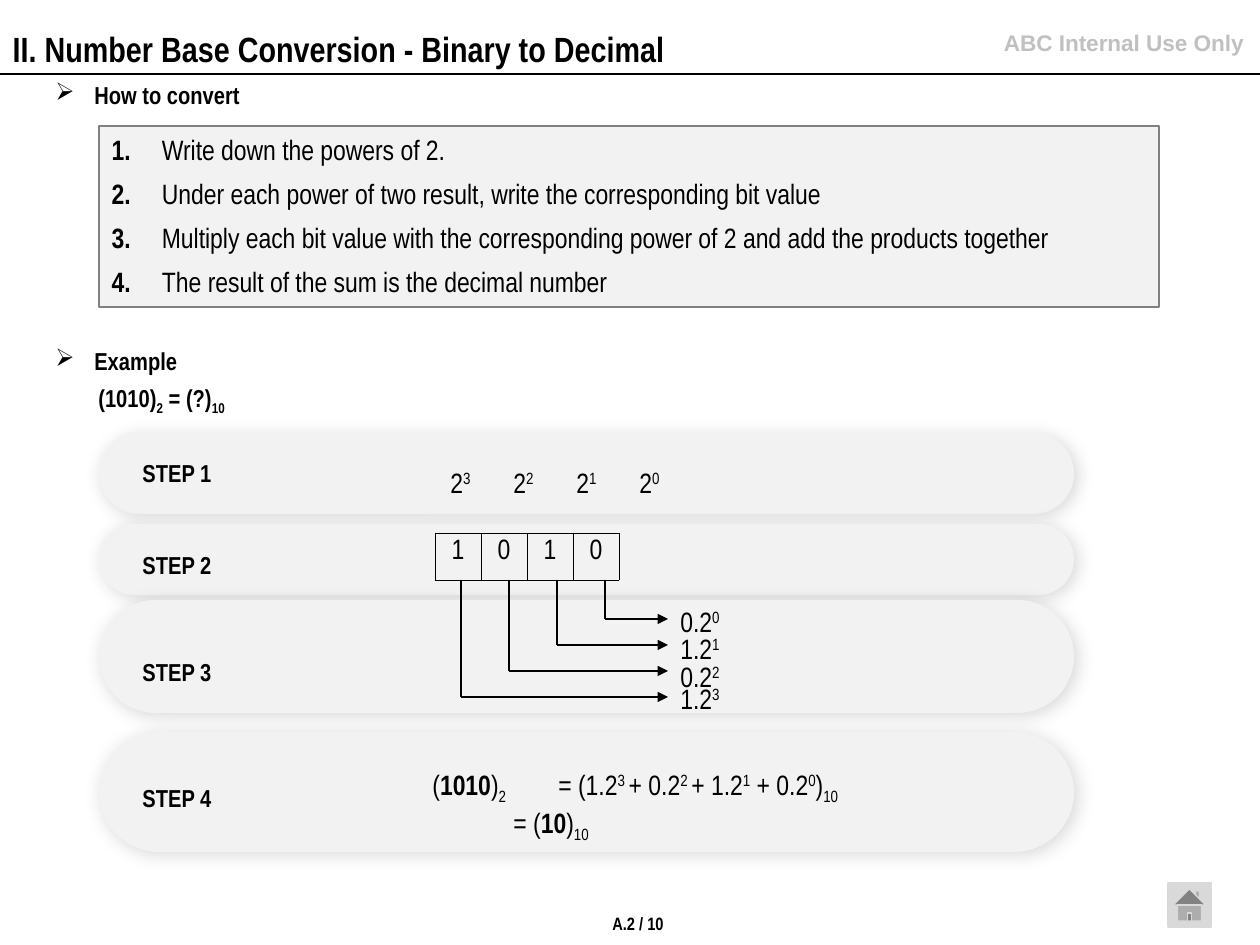
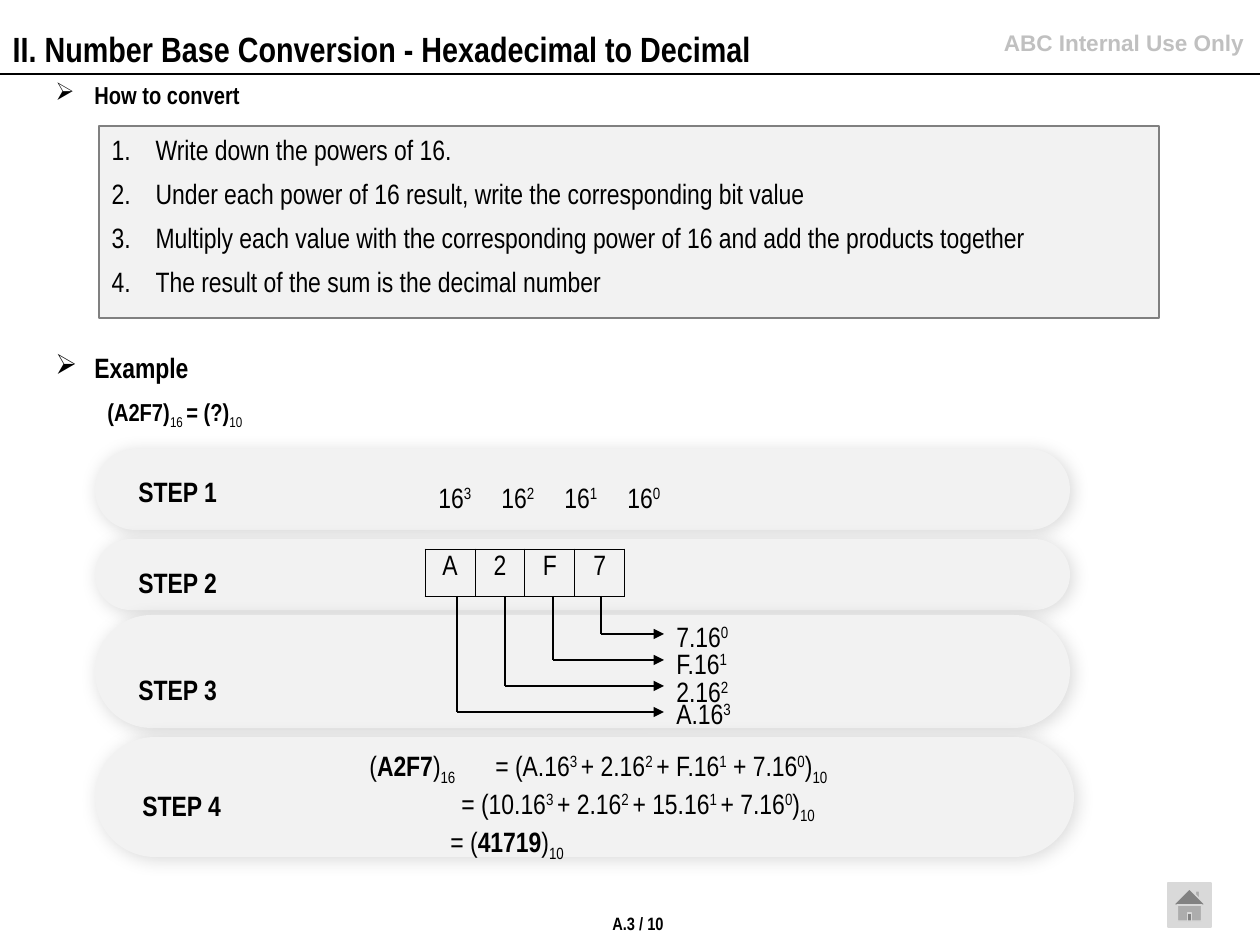
from lxml.etree import SubElement
from pptx import Presentation
from pptx.dml.color import RGBColor
from pptx.enum.shapes import MSO_CONNECTOR, MSO_SHAPE
from pptx.enum.text import MSO_ANCHOR, MSO_AUTO_SIZE, PP_ALIGN
from pptx.oxml.ns import qn
from pptx.util import Emu, Pt

PIXELS_PER_INCH = 126
BLACK = RGBColor(0x00, 0x00, 0x00)
WHITE = RGBColor(0xFF, 0xFF, 0xFF)
PANEL = RGBColor(0xF2, 0xF2, 0xF2)
PANEL_EDGE = RGBColor(0x80, 0x80, 0x80)
NOTICE_GREY = RGBColor(0xC0, 0xC0, 0xC0)
BUTTON_GREY = RGBColor(0xD9, 0xD9, 0xD9)
FONT = "Arial Narrow"

NOTICE = "ABC Internal Use Only"
TITLE_PREFIX = "II. Number Base Conversion - "

# Markup: "|" separates runs; the first letter of a run may name its style.
RUN_STYLES = {  # (baseline in percent, bold)
    "*": (0, True),
    "^": (30, None),
    "_": (-25, None),
    "~": (-25, False),
}

SLIDES = [
    {
        "title": "Binary to Decimal",
        "rules": [
            "* |Write down the powers of 2.",
            "* |Under each power of two result, write the corresponding bit value",
            "* |Multiply each bit value with the corresponding power of 2 and add the products together",
            "* |The result of the sum is the decimal number",
        ],
        "rules_height": 181,
        "example_top": 333,
        "label_size": 14,
        "question": ("(1010)|_2| = (?)|_10", 86, 377),
        "step_left": 99,
        "steps": [(433, 975, 130), (524, 975, 130), (600, 975, 130), (732, 975, 130)],
        "powers": ("2|^3|\t2|^2|\t2|^1|\t2|^0", 438, 459, [45, 94, 140]),
        "digits": ("1010", 435, 533, 46),
        "fan": (461, 581),
        "terms": ["0.2|^0", "1.2|^1", "0.2|^2", "1.2|^3"],
        "result_box": (420, 761, 432, 103),
        "result": [  # (position of the equals sign, markup)
            (93, "(|*1010|)|_2|\t= (1.2|^3 |+ 0.2|^2 |+ 1.2|^1| + 0.2|^0|)|_10"),
            (81, "= (|*10|)|_10"),
        ],
        "page": "A.2 / 10",
    },
    {
        "title": "Hexadecimal to Decimal",
        "rules": [
            "Write down the powers of 16.",
            "Under each power of 16 result, write the corresponding bit value",
            "Multiply each value with the corresponding power of 16 and add the products together",
            "The result of the sum is the decimal number",
        ],
        "rules_height": 192,
        "example_top": 340,
        "label_size": 16,
        "question": ("(A2F7)|~16 |= (?)|~10", 95, 391),
        "step_left": 95,
        "steps": [(449, 975, 126), (539, 975, 126), (615, 975, 126), (737, 979, 130)],
        "powers": ("16|^3|\t16|^2|\t16|^1|\t16|^0", 426, 474, [47, 90, 142]),
        "digits": ("A2F7", 425, 549, 50),
        "fan": (457, 596),
        "terms": ["7.16|^0", "F.16|^1", "2.16|^2", "A.16|^3"],
        "result_box": (357, 742, 616, 137),
        "result": [
            (92, "(|*A2F7|)|_16|\t= (A.16|^3 |+ 2.16|^2 |+ F.16|^1| + 7.16|^0|)|_10"),
            (92, "= (10.16|^3 |+ 2.16|^2 |+ 15.16|^1 |+ 7.16|^0|)|_10"),
            (81, "= (|*41719|)|_10"),
        ],
        "page": "A.3 / 10",
    },
]

STEP_HEIGHTS = [81, 71, 113, 120]
LABEL_OFFSETS = [19, 20, 51, 45]
TERM_OFFSETS = [17, 44, 72, 94]
FAN_REACH = 207
FAN_COLUMN_GAP = 48
FAN_FIRST_DROP = 38
FAN_ROW_GAP = 26


def px(length):
    return Emu(round(length * 914400 / PIXELS_PER_INCH))


def place(shape, left, top, width, height):
    shape.left, shape.top = px(left), px(top)
    shape.width, shape.height = px(width), px(height)


def write(paragraph, markup, size, bold=False, color=BLACK, font=FONT,
          align=PP_ALIGN.LEFT, indent=0, hanging=0, bullet=None, tabs=()):
    """Fill one paragraph; bullet is a (tag, attribute, value) triple."""
    properties = paragraph._p.get_or_add_pPr()
    properties.set("marL", str(px(indent)))
    properties.set("indent", str(-px(hanging)))
    if bullet:
        tag, attribute, value = bullet
        SubElement(properties, qn(tag)).set(attribute, value)
    if tabs:
        tab_list = SubElement(properties, qn("a:tabLst"))
        for position in tabs:
            SubElement(tab_list, qn("a:tab"), pos=str(px(position)), algn="l")
    paragraph.alignment = align
    paragraph.font.name = font
    paragraph.font.size = Pt(size)
    paragraph.font.bold = bold
    paragraph.font.color.rgb = color
    for piece in markup.split("|"):
        run = paragraph.add_run()
        if piece[0] in RUN_STYLES:
            baseline, run_bold = RUN_STYLES[piece[0]]
            run.text = piece[1:]
            run.font.bold = run_bold
            if baseline:
                run._r.get_or_add_rPr().set("baseline", str(baseline * 1000))
        else:
            run.text = piece


def add_text(slide, box, markup, size, anchor=MSO_ANCHOR.TOP, **style):
    text_box = slide.shapes.add_textbox(*map(px, box))
    frame = text_box.text_frame
    frame.word_wrap = True
    frame.vertical_anchor = anchor
    write(frame.paragraphs[0], markup, size, **style)
    return frame


def add_shape(slide, kind, box, fill, line=None):
    shape = slide.shapes.add_shape(kind, *map(px, box))
    shape.shadow.inherit = False
    shape.fill.solid()
    shape.fill.fore_color.rgb = fill
    if line is None:
        shape.line.fill.background()
    else:
        shape.line.color.rgb = line
        shape.line.width = Pt(0.75)
    return shape


def add_line(slide, start, end, arrow=False):
    line = slide.shapes.add_connector(MSO_CONNECTOR.STRAIGHT, *map(px, start + end))
    line.line.color.rgb = BLACK
    line.line.width = Pt(0.75)
    if arrow:
        SubElement(line.line._get_or_add_ln(), qn("a:tailEnd"), type="triangle")
    SubElement(line._element.spPr, qn("a:effectLst"))


def add_frame(slide, title, page):
    """Add what every slide shares: header, title, home button, page number."""
    add_line(slide, (0, 74), (1260, 74))
    add_text(slide, (910, 23, 346, 40), NOTICE, 12.9, bold=True,
             color=NOTICE_GREY, font="Arial", align=PP_ALIGN.RIGHT)
    place(slide.shapes.title, 0, 21, 1055, 55)
    frame = slide.shapes.title.text_frame
    frame.auto_size = MSO_AUTO_SIZE.NONE
    frame.vertical_anchor = MSO_ANCHOR.TOP
    write(frame.paragraphs[0], TITLE_PREFIX + title, 20, bold=True)
    add_shape(slide, MSO_SHAPE.ACTION_BUTTON_HOME, (1168, 883, 43, 44),
              BUTTON_GREY, BUTTON_GREY)
    footer = add_shape(slide, MSO_SHAPE.RECTANGLE, (612, 913, 52, 21), WHITE).text_frame
    footer.margin_left = footer.margin_right = footer.margin_top = footer.margin_bottom = 0
    footer.word_wrap = False
    write(footer.paragraphs[0], page, 10.2, bold=True, align=PP_ALIGN.CENTER)


def add_heading(slide, top, text, size):
    frame = add_text(slide, (43, top, 1086, 59), text, size, MSO_ANCHOR.MIDDLE, bold=True,
                     indent=39, hanging=39, bullet=("a:buChar", "char", "➢"))
    frame.paragraphs[0].line_spacing = 0.9


def add_rules(slide, rules, height):
    body = slide.placeholders[1]
    place(body, 99, 126, 1060, height)
    body.fill.solid()
    body.fill.fore_color.rgb = PANEL
    body.line.color.rgb = PANEL_EDGE
    body.line.width = Pt(0.75)
    frame = body.text_frame
    frame.auto_size = MSO_AUTO_SIZE.NONE
    frame.vertical_anchor = MSO_ANCHOR.TOP
    for index, rule in enumerate(rules):
        paragraph = frame.add_paragraph() if index else frame.paragraphs[0]
        write(paragraph, rule, 16, indent=44, hanging=44,
              bullet=("a:buAutoNum", "type", "arabicPeriod"))
        paragraph.space_before = Pt(6)


def add_steps(slide, left, steps, label_size):
    rows = zip(steps, STEP_HEIGHTS, LABEL_OFFSETS)
    for number, ((top, width, label_left), height, offset) in enumerate(rows, 1):
        band = add_shape(slide, MSO_SHAPE.ROUNDED_RECTANGLE, (left, top, width, height), PANEL)
        band.adjustments[0] = 0.5
        effects = band._element.spPr.find(qn("a:effectLst"))
        shadow = SubElement(effects, qn("a:outerShdw"), blurRad=str(Pt(10)),
                            dist=str(Pt(2)), dir="2700000", algn="tl", rotWithShape="0")
        color = SubElement(shadow, qn("a:srgbClr"), val=str(BLACK))
        SubElement(color, qn("a:alpha"), val="15000")
        add_text(slide, (label_left, top + offset, 110, 46), f"STEP {number}",
                 label_size, bold=True)


def add_digits(slide, digits, left, top, cell_width):
    box = (left, top, cell_width * len(digits), 47)
    table = slide.shapes.add_table(1, len(digits), *map(px, box)).table
    table.first_row = table.horz_banding = False
    for index, digit in enumerate(digits):
        table.columns[index].width = px(cell_width)
        cell = table.cell(0, index)
        properties = cell._tc.get_or_add_tcPr()
        for side in ("a:lnL", "a:lnR", "a:lnT", "a:lnB"):
            border = SubElement(properties, qn(side), w=str(Pt(0.5)))
            fill = SubElement(border, qn("a:solidFill"))
            SubElement(fill, qn("a:srgbClr"), val=str(BLACK))
        cell.fill.solid()
        cell.fill.fore_color.rgb = PANEL
        write(cell.text_frame.paragraphs[0], digit, 16, align=PP_ALIGN.CENTER)


def add_fan(slide, left, top, terms):
    """Lead each digit, from the last to the first, to its product."""
    end = left + FAN_REACH
    for index, (term, offset) in enumerate(zip(terms, TERM_OFFSETS)):
        column = left + FAN_COLUMN_GAP * (len(terms) - 1 - index)
        row = top + FAN_FIRST_DROP + FAN_ROW_GAP * index
        add_line(slide, (column, top), (column, row))
        add_line(slide, (column, row), (end, row), arrow=True)
        add_text(slide, (end, top + offset, 101, 47), term, 16)


def add_result(slide, box, lines):
    (equals, first), *others = lines
    frame = add_text(slide, box, first, 16, tabs=[equals])
    for indent, markup in others:
        write(frame.add_paragraph(), markup, 16, indent=indent)


def main():
    presentation = Presentation()
    presentation.slide_width, presentation.slide_height = px(1260), px(945)
    for content in SLIDES:
        slide = presentation.slides.add_slide(presentation.slide_layouts[1])
        add_frame(slide, content["title"], content["page"])
        add_heading(slide, 67, "How to convert", 14)
        add_rules(slide, content["rules"], content["rules_height"])
        add_heading(slide, content["example_top"], "Example", content["label_size"])
        question, left, top = content["question"]
        add_text(slide, (left, top, 1086, 45), question, 14, MSO_ANCHOR.MIDDLE, bold=True)
        add_steps(slide, content["step_left"], content["steps"], content["label_size"])
        powers, left, top, tabs = content["powers"]
        add_text(slide, (left, top, 262, 47), powers, 16, tabs=tabs)
        add_digits(slide, *content["digits"])
        add_fan(slide, *content["fan"], content["terms"])
        add_result(slide, content["result_box"], content["result"])
    presentation.save("out.pptx")


if __name__ == "__main__":
    main()
